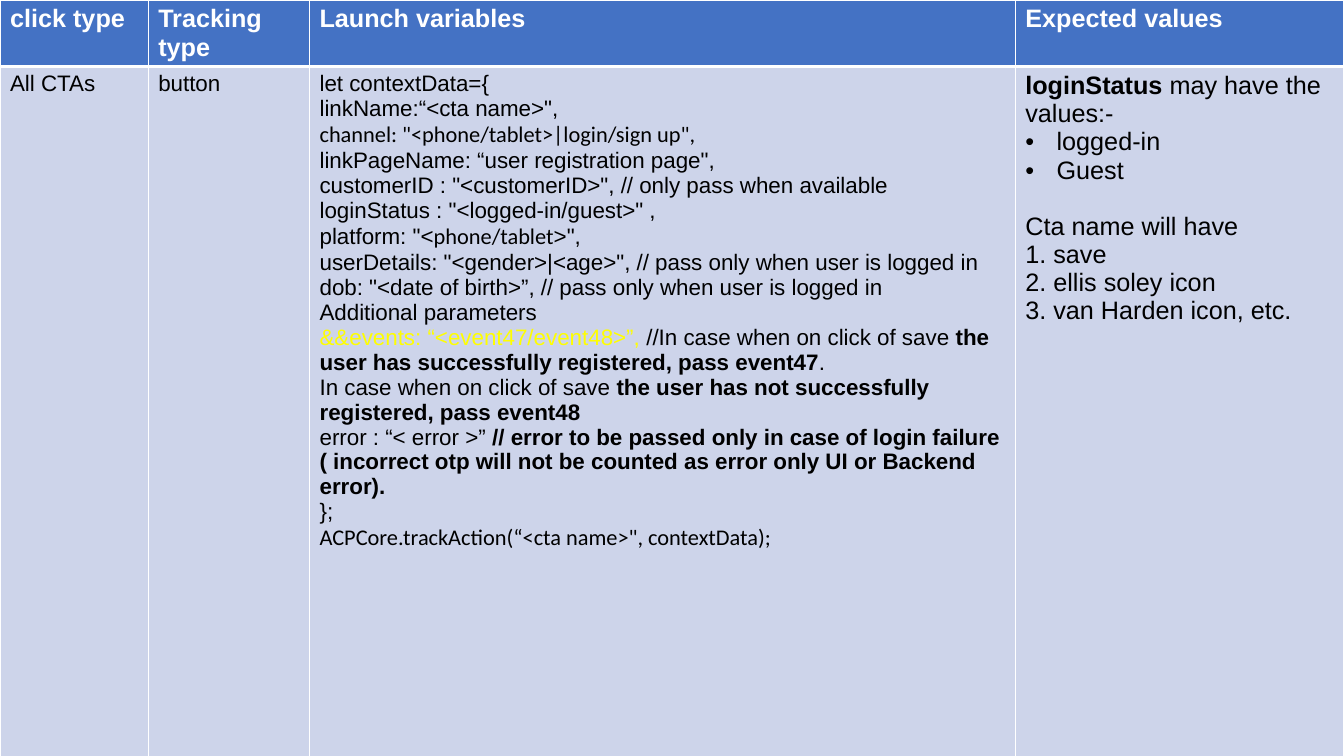
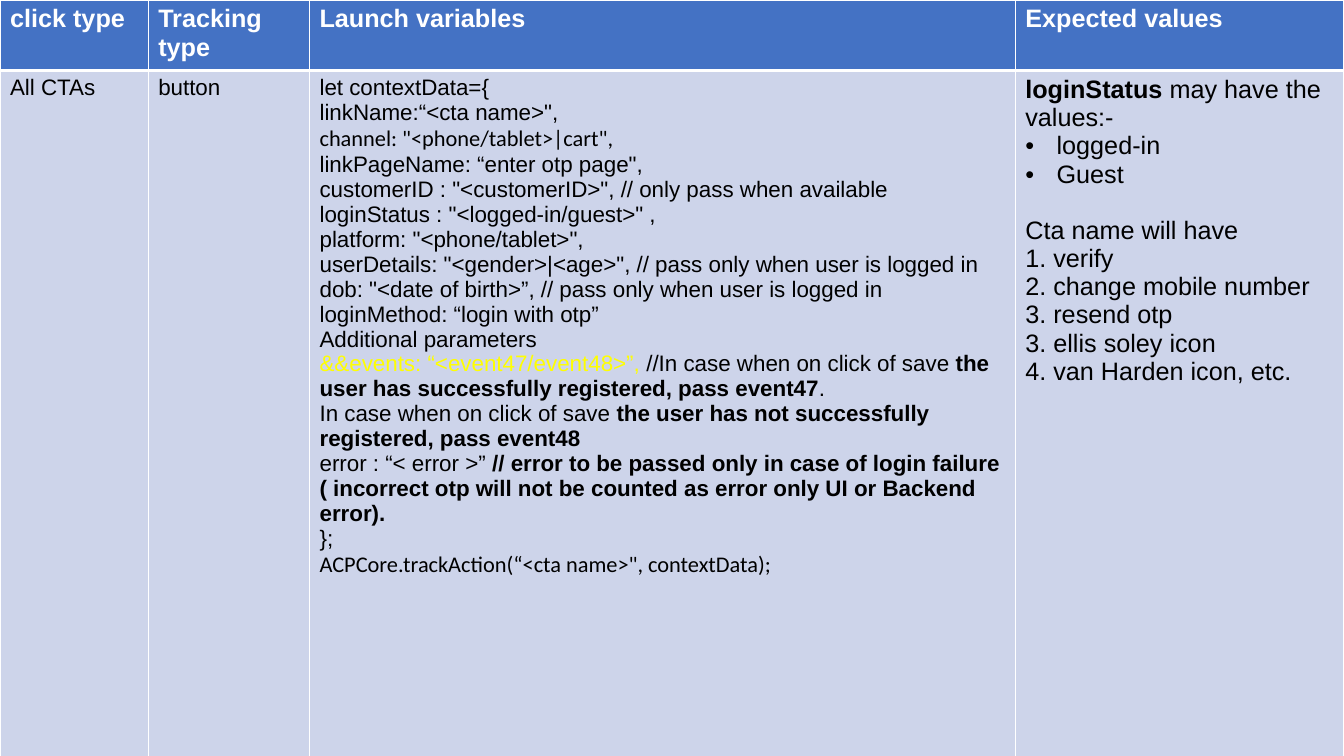
import pptx
import pptx.dml.color
import pptx.oxml
import pptx.oxml.ns
import pptx.util

PX = 9144  # one hundredth of an inch
SLIDE_SIZE = (1333, 750)
COLUMN_WIDTHS = (147, 160, 700, 326)

HEADER_FILL = "4472C4"
BODY_FILL = "CDD4EA"
WHITE = "FFFFFF"
BLACK = "000000"
YELLOW = "FFFF00"

HEADERS = ("click type", "Tracking type", "Launch variables", "Expected values")

# A line is a string or a list of spans; a span is a string or (text, style).
BOLD = {"bold": True}
CALIBRI = {"font": "Calibri"}
HIGHLIGHT = {"color": YELLOW}

CUSTOMER_LINES = [
    'customerID : "<customerID>", // only pass when available',
    'loginStatus : "<logged-in/guest>" ,',
]
USER_LINES = [
    'userDetails: "<gender>|<age>", // pass only when user is logged in',
    'dob: "<date of birth>”, // pass only when user is logged in',
]
CLOSING_LINES = [
    "Additional parameters",
    [("&&events: “<event47/event48>”, ", HIGHLIGHT),
     "//In case when on click of save ",
     ("the user has successfully registered, pass event47", BOLD), "."],
    ["In case when on click of save ",
     ("the user has not successfully registered, pass event48", BOLD)],
    ["error : “< error >” ",
     ("// error to be passed only in case of login failure ( incorrect otp "
      "will not be counted as error only UI or Backend error).", BOLD)],
    "};",
    [("ACPCore.trackAction(“<cta name>\", contextData);", CALIBRI)],
]
STATUS_LINE = [("loginStatus ", BOLD), "may have the values:-"]
STATUS_VALUES = ["logged-in", "Guest"]
CTA_HEADING = "Cta name will have"

PAGES = [
    {
        "row_heights": (65, 689),
        "channel": "login/sign up",
        "page_name": "user registration page",
        "platform": ['platform: "<', ("phone/tablet", CALIBRI), '>",'],
        "extra": [],
        "cta_names": ["1. save", "2. ellis soley icon", "3. van Harden icon, etc."],
    },
    {
        "row_heights": (70, 802),
        "channel": "cart",
        "page_name": "enter otp page",
        "platform": 'platform: "<phone/tablet>",',
        "extra": ["loginMethod: “login with otp”"],
        "cta_names": ["1. verify", "2. change mobile number", "3. resend otp",
                      "3. ellis soley icon", "4. van Harden icon, etc."],
    },
]


def px(length):
    return pptx.util.Emu(length * PX)


def rgb(value):
    return pptx.dml.color.RGBColor.from_string(value)


def launch_lines(page):
    return [
        "let contextData={",
        "linkName:“<cta name>\",",
        [(f'channel: "<phone/tablet>|{page["channel"]}",', CALIBRI)],
        f'linkPageName: “{page["page_name"]}",',
        *CUSTOMER_LINES,
        page["platform"],
        *USER_LINES,
        *page["extra"],
        *CLOSING_LINES,
    ]


def write_lines(cell, lines, size, color=BLACK, bold=False):
    """Write one paragraph per line and return the paragraphs."""
    frame = cell.text_frame
    for index, line in enumerate(lines):
        para = frame.add_paragraph() if index else frame.paragraphs[0]
        for part in [line] if isinstance(line, str) else line:
            text, style = (part, {}) if isinstance(part, str) else part
            span = para.add_run()
            span.text = text
            span.font.size = pptx.util.Pt(size)
            span.font.name = style.get("font", "Arial")
            span.font.bold = style.get("bold", bold)
            span.font.color.rgb = rgb(style.get("color", color))
    return frame.paragraphs


def add_bullet(para):
    properties = para._p.get_or_add_pPr()
    properties.set("marL", str(px(31)))
    properties.set("indent", str(-px(31)))
    namespace = pptx.oxml.ns.nsdecls("a")
    for element in ('buFont {} typeface="Arial"', 'buChar {} char="•"'):
        properties.append(pptx.oxml.parse_xml(f"<a:{element.format(namespace)}/>"))


def style_cell(cell, fill, top, bottom):
    """Give the cell white borders, in points, and then its fill."""
    properties = cell._tc.get_or_add_tcPr()
    for side, points in (("L", 1), ("R", 1), ("T", top), ("B", bottom)):
        properties.append(pptx.oxml.parse_xml(
            f'<a:ln{side} {pptx.oxml.ns.nsdecls("a")} w="{pptx.util.Pt(points)}">'
            f'<a:solidFill><a:srgbClr val="{WHITE}"/></a:solidFill></a:ln{side}>'))
    cell.fill.solid()
    cell.fill.fore_color.rgb = rgb(fill)


def write_expected_values(cell, cta_names):
    lines = [STATUS_LINE, *STATUS_VALUES, CTA_HEADING, *cta_names]
    paragraphs = write_lines(cell, lines, 18)
    heading = 1 + len(STATUS_VALUES)
    for para in paragraphs[1:heading]:
        add_bullet(para)
    paragraphs[heading].space_before = pptx.util.Pt(20)


def add_tracking_slide(deck, page):
    slide = deck.slides.add_slide(deck.slide_layouts[6])
    heights = page["row_heights"]
    table = slide.shapes.add_table(
        2, len(HEADERS), 0, 0, px(sum(COLUMN_WIDTHS)), px(sum(heights))).table
    for column, width in zip(table.columns, COLUMN_WIDTHS):
        column.width = px(width)
    for row, height in zip(table.rows, heights):
        row.height = px(height)

    for index, header in enumerate(HEADERS):
        style_cell(table.cell(0, index), HEADER_FILL, top=1, bottom=3)
        style_cell(table.cell(1, index), BODY_FILL, top=3, bottom=1)
        write_lines(table.cell(0, index), [header], 18, WHITE, bold=True)

    for index, lines in enumerate((["All CTAs"], ["button"], launch_lines(page))):
        write_lines(table.cell(1, index), lines, 16)
    write_expected_values(table.cell(1, 3), page["cta_names"])


def main():
    deck = pptx.Presentation()
    deck.slide_width, deck.slide_height = map(px, SLIDE_SIZE)
    for page in PAGES:
        add_tracking_slide(deck, page)
    deck.save("out.pptx")


if __name__ == "__main__":
    main()
